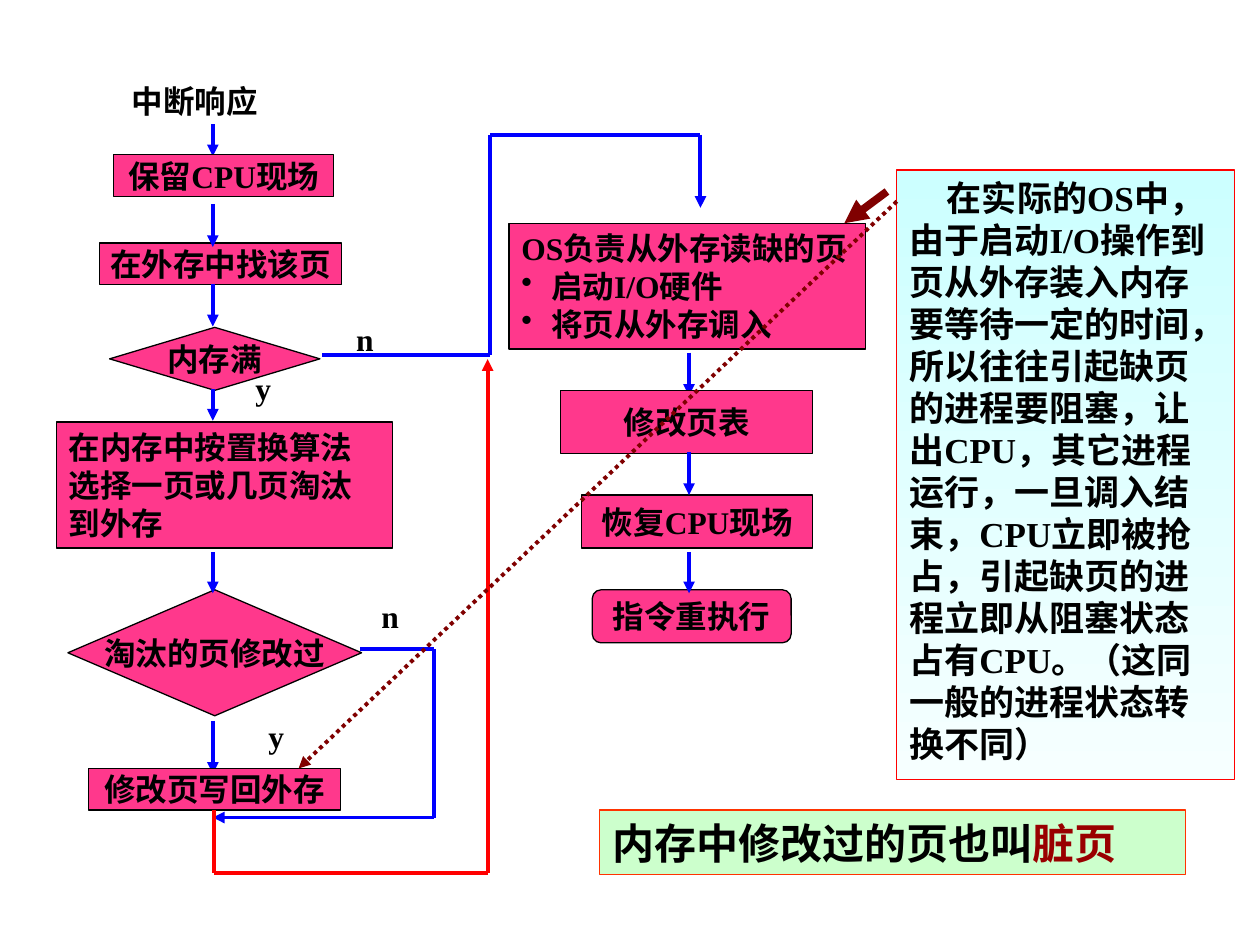
from itertools import pairwise

from lxml.etree import SubElement
from pptx import Presentation
from pptx.dml.color import RGBColor
from pptx.enum.dml import MSO_LINE
from pptx.enum.shapes import MSO_CONNECTOR, MSO_SHAPE as Shape
from pptx.enum.text import MSO_ANCHOR as Anchor, MSO_AUTO_SIZE as AutoSize, PP_ALIGN as Align
from pptx.oxml.ns import qn
from pptx.util import Cm, Pt

BLACK = RGBColor(0x00, 0x00, 0x00)
PINK = RGBColor(0xFF, 0x38, 0x8C)
BLUE = RGBColor(0x00, 0x00, 0xFF)
RED = RGBColor(0xFF, 0x00, 0x00)
MAROON = RGBColor(0x80, 0x00, 0x00)
DARK_RED = RGBColor(0x99, 0x00, 0x00)
ORANGE_RED = RGBColor(0xFF, 0x33, 0x00)
PALE_GREEN = RGBColor(0xCC, 0xFF, 0xCC)
PALE_CYAN = RGBColor(0xCC, 0xFF, 0xFF)
NEAR_WHITE = RGBColor(0xF6, 0xFF, 0xFF)
FONT = "Times New Roman"

LEFT_AXIS, RIGHT_AXIS = 4.29, 13.89

# Steps of the flow: shape, position and size in cm, text
STEPS = [
    (Shape.RECTANGLE, (2.29, 3.12, 4.44, 0.84), "保留CPU现场"),
    (Shape.RECTANGLE, (2.01, 4.9, 4.88, 0.84), "在外存中找该页"),
    (Shape.DIAMOND, (2.21, 6.6, 4.24, 1.27), "内存满"),
    (Shape.DIAMOND, (1.37, 11.89, 5.92, 2.54), "淘汰的页修改过"),
    (Shape.RECTANGLE, (1.78, 15.49, 5.08, 0.84), "修改页写回外存"),
    (Shape.RECTANGLE, (11.3, 7.87, 5.08, 1.27), "修改页表"),
    (Shape.RECTANGLE, (11.73, 9.98, 4.65, 1.07), "恢复CPU现场"),
    (Shape.FLOWCHART_ALTERNATE_PROCESS, (11.94, 11.89, 4.01, 1.07), "指令重执行"),
]

# Vertical arrows: axis, start, end; the first group runs behind the steps
ARROWS_BEHIND = [(LEFT_AXIS, 2.51, 3.15), (LEFT_AXIS, 14.53, 15.6), (RIGHT_AXIS, 7.11, 7.98)]
ARROWS_IN_FRONT = [
    (LEFT_AXIS, 4.11, 4.98),
    (LEFT_AXIS, 5.72, 6.58),
    (LEFT_AXIS, 7.85, 8.48),
    (LEFT_AXIS, 11.13, 11.96),
    (RIGHT_AXIS, 9.12, 9.98),
    (RIGHT_AXIS, 11.13, 11.96),
]

# Routes with several legs; the arrowhead sits on the last one
ROUTES = [
    (BLUE, [(6.5, 7.16), (9.88, 7.16), (9.88, 2.72), (14.12, 2.72), (14.12, 4.19)]),
    (BLUE, [(7.26, 13.08), (8.74, 13.08), (8.74, 16.48), (LEFT_AXIS, 16.48)]),
    (RED, [(4.32, 16.33), (4.32, 17.6), (9.83, 17.6), (9.83, 7.24)]),
]

LABELS = [
    ("中断响应", 2.41, 1.52, 3.07),
    ("y", 4.9, 7.32, 0.85),
    ("y", 5.16, 14.33, 0.85),
    ("n", 6.93, 6.32, 0.85),
    ("n", 7.44, 11.91, 0.85),
]

EXPLANATION = (
    "在实际的OS中，由于启动I/O操作到页从外存装入内存要等待一定的时间，"
    "所以往往引起缺页的进程要阻塞，让出CPU，其它进程运行，一旦调入结束，"
    "CPU立即被抢占，引起缺页的进程立即从阻塞状态占有CPU。"
    "（这同一般的进程状态转换不同）"
)


def write(paragraph, text, size=18, color=BLACK, align=Align.LEFT, margin=0, indent=0, bullet=None):
    """Add a bold run to the paragraph; margin and indent are in cm."""
    props = paragraph._p.get_or_add_pPr()
    if margin or indent:
        props.set("marL", str(Cm(margin)))
        props.set("indent", str(Cm(indent)))
    if bullet:
        SubElement(props, qn("a:buChar")).set("char", bullet)
    paragraph.alignment = align
    run = paragraph.add_run()
    run.text = text
    font = run.font
    font.name, font.size, font.bold = FONT, Pt(size), True
    font.color.rgb = color


def add_box(slide, kind, place, fills=(PINK,), outline=BLACK, wrap=False, anchor=Anchor.MIDDLE):
    """Add a box; one fill colour is solid, two run from top to bottom."""
    box = slide.shapes.add_shape(kind, *map(Cm, place))
    box.shadow.inherit = False
    if len(fills) > 1:
        box.fill.gradient()
        box.fill.gradient_angle = 270
        for stop, color in zip(box.fill.gradient_stops, fills):
            stop.color.rgb = color
    else:
        box.fill.solid()
        box.fill.fore_color.rgb = fills[0]
    box.line.color.rgb = outline
    box.line.width = Pt(0.75)
    frame = box.text_frame
    frame.word_wrap = wrap
    frame.vertical_anchor = anchor
    return frame


def add_label(slide, text, left, top, width):
    frame = slide.shapes.add_textbox(Cm(left), Cm(top), Cm(width), Cm(1.02)).text_frame
    frame.word_wrap = False
    frame.auto_size = AutoSize.SHAPE_TO_FIT_TEXT
    write(frame.paragraphs[0], text)


def add_line(slide, start, end, color=BLUE, width=2.25, arrow=True, dash=None):
    connector = slide.shapes.add_connector(MSO_CONNECTOR.STRAIGHT, *map(Cm, (*start, *end)))
    line = connector.line
    line.color.rgb = color
    line.width = Pt(width)
    if dash:
        line.dash_style = dash
    if arrow:
        SubElement(line._get_or_add_ln(), qn("a:tailEnd")).set("type", "triangle")
    SubElement(connector._element.spPr, qn("a:effectLst"))


def add_route(slide, color, points):
    for start, end in pairwise(points):
        add_line(slide, start, end, color, arrow=end == points[-1])


def add_vertical_arrows(slide, arrows):
    for x, top, bottom in arrows:
        add_line(slide, (x, top), (x, bottom))


def main():
    prs = Presentation()
    prs.slide_width, prs.slide_height = Cm(25.4), Cm(19.05)
    slide = prs.slides.add_slide(prs.slide_layouts[6])

    # Flow steps and the arrows between them
    add_vertical_arrows(slide, ARROWS_BEHIND)
    for kind, place, text in STEPS:
        write(add_box(slide, kind, place).paragraphs[0], text, align=Align.CENTER)

    # Page replacement
    replacement = add_box(slide, Shape.RECTANGLE, (1.14, 8.51, 6.78, 2.54), wrap=True)
    write(replacement.paragraphs[0], "在内存中按置换算法")
    for text in ("选择一页或几页淘汰", "到外存"):
        write(replacement.add_paragraph(), text)

    # Reading the missing page
    reading = add_box(slide, Shape.RECTANGLE, (10.26, 4.5, 7.19, 2.54))
    write(reading.paragraphs[0], "OS负责从外存读缺的页")
    for text in ("启动I/O硬件", "将页从外存调入"):
        write(reading.add_paragraph(), text, margin=0.6, indent=-0.6, bullet="•")

    add_vertical_arrows(slide, ARROWS_IN_FRONT)
    for color, points in ROUTES:
        add_route(slide, color, points)
    for label in LABELS:
        add_label(slide, *label)

    # Explanation with its two pointers
    explanation = add_box(slide, Shape.RECTANGLE, (18.08, 3.43, 6.81, 12.29),
                          fills=(PALE_CYAN, NEAR_WHITE), outline=RED, wrap=True, anchor=Anchor.TOP)
    write(explanation.paragraphs[0], EXPLANATION, size=20, indent=0.76)
    add_line(slide, (17.88, 3.86), (17.02, 4.5), MAROON, width=4.5)
    add_line(slide, (18.08, 4.06), (6.02, 15.49), MAROON, dash=MSO_LINE.ROUND_DOT)

    # Dirty page note
    note = add_box(slide, Shape.RECTANGLE, (12.09, 16.33, 11.81, 1.3),
                   fills=(PALE_GREEN,), outline=ORANGE_RED, wrap=True)
    write(note.paragraphs[0], "内存中修改过的页也叫", size=24)
    write(note.paragraphs[0], "脏页", size=24, color=DARK_RED)

    prs.save("out.pptx")


if __name__ == "__main__":
    main()
